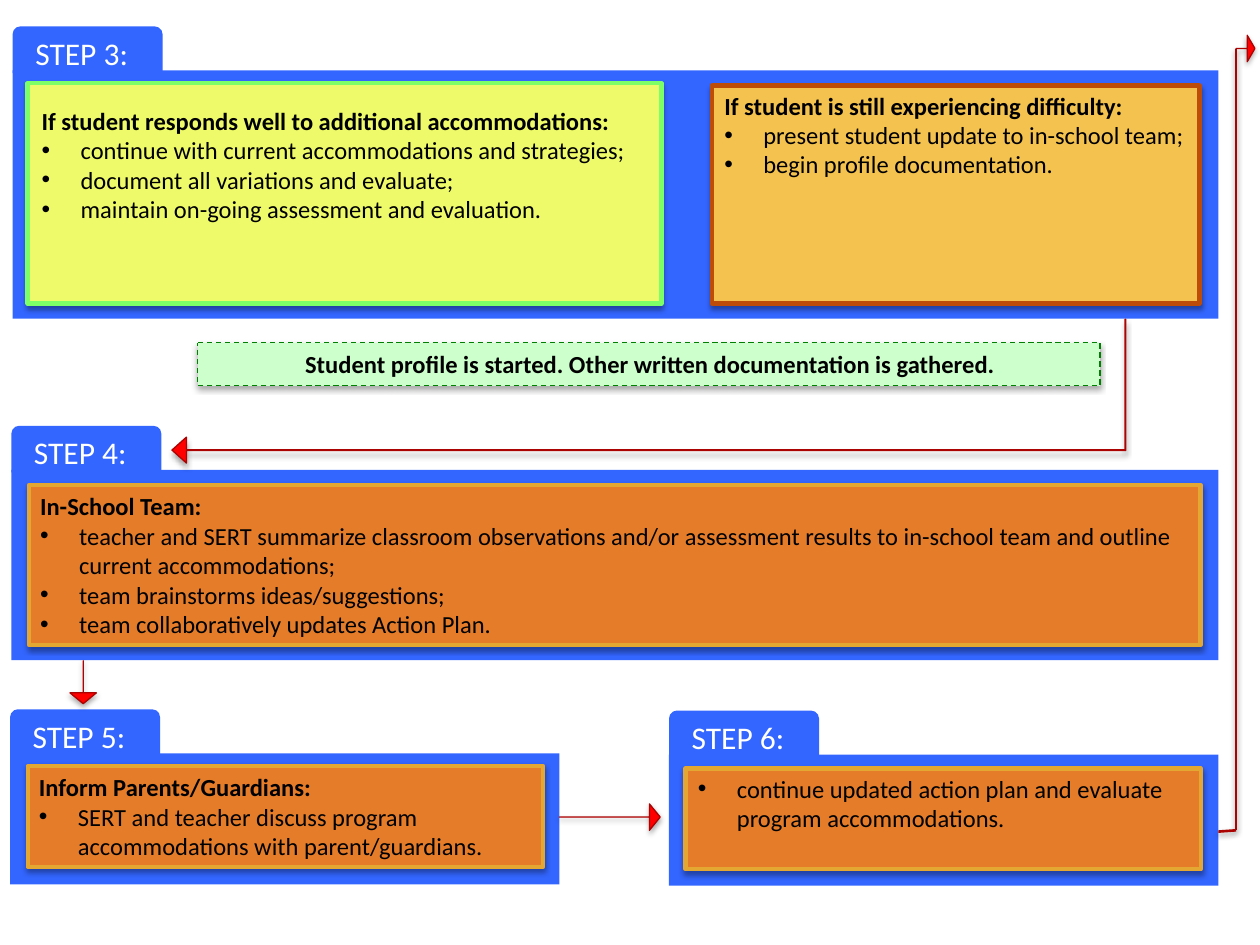
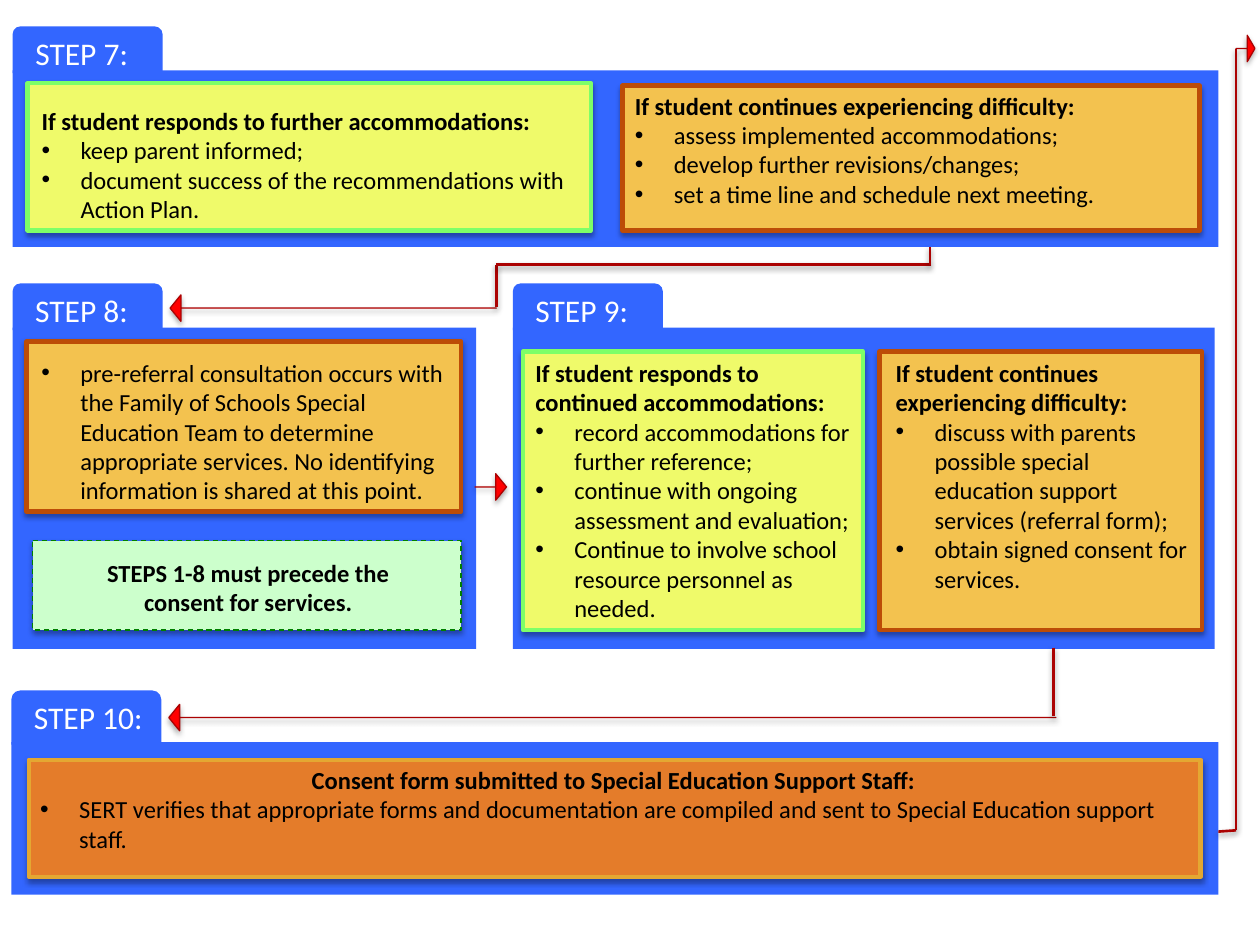
from typing import NamedTuple

from lxml import etree
from pptx import Presentation
from pptx.dml.color import RGBColor
from pptx.enum.dml import MSO_LINE
from pptx.enum.shapes import MSO_CONNECTOR, MSO_SHAPE
from pptx.enum.text import MSO_ANCHOR, MSO_AUTO_SIZE, PP_ALIGN
from pptx.oxml.ns import qn
from pptx.util import Emu, Pt

RECTANGLE = MSO_SHAPE.RECTANGLE
PROCESS = MSO_SHAPE.FLOWCHART_PROCESS
TAB = MSO_SHAPE.ROUND_2_SAME_RECTANGLE
RIGHT_ARROW = MSO_SHAPE.RIGHT_ARROW
BENT_ARROW = MSO_SHAPE.BENT_UP_ARROW
STRAIGHT = MSO_CONNECTOR.STRAIGHT
DASH = MSO_LINE.DASH
LEFT, CENTER = PP_ALIGN.LEFT, PP_ALIGN.CENTER
TOP = MSO_ANCHOR.TOP
GROW = MSO_AUTO_SIZE.SHAPE_TO_FIT_TEXT

PX = 9144
FONT = "Calibri"
TAB_WIDTH, TAB_OVERLAP = 119, 2
BULLET_INDENT = 31
COLORS = {
    "band": "3366FF", "label": "FFFFFF", "text": "000000", "shadow": "000000",
    "success": "EFFA6A", "success_edge": "7DFF68",
    "difficulty": "F3C24F", "difficulty_edge": "BC4C07",
    "action": "E47C2A", "action_edge": "E4A732",
    "note": "CCFFCC", "note_edge": "008000",
    "arrow": "FF0000", "arrow_edge": "AB0202",
}


class Area(NamedTuple):
    left: int
    top: int
    width: int
    height: int


class Step(NamedTuple):
    label: str
    band: Area
    tab_height: int = 37


class Panel(NamedTuple):
    kind: str
    area: Area
    text_area: Area
    headings: tuple[str, ...] = ()
    bullets: tuple[str, ...] = ()
    heading_align: PP_ALIGN = LEFT


class Arrow(NamedTuple):
    area: Area
    rotation: int = 0
    preset: MSO_SHAPE = RIGHT_ARROW
    adjustments: tuple[float, ...] = (0, 0.408)
    flipped: bool = False


class Line(NamedTuple):
    start_x: int
    start_y: int
    end_x: int
    end_y: int


class Flow(NamedTuple):
    steps: list[Step]
    panels: list[Panel]
    arrows: list[Arrow]
    lines: list[Line]


EXIT_ARROW = Arrow(Area(981, 28, 15, 21))
EXIT_LINES = [Line(981, 39, 981, 659), Line(967, 660, 981, 659)]

FLOWS = [
    Flow(
        steps=[
            Step("STEP 3:", Area(10, 56, 957, 197)),
            Step("STEP 4:", Area(9, 373, 958, 151)),
            Step("STEP 5:", Area(8, 598, 436, 104)),
            Step("STEP 6:", Area(531, 599, 436, 104)),
        ],
        panels=[
            Panel("success", Area(22, 66, 503, 175), Area(23, 79, 502, 104),
                  ("If student responds well to additional accommodations:",),
                  ("continue with current accommodations and strategies;",
                   "document all variations and evaluate;",
                   "maintain on-going assessment and evaluation.")),
            Panel("difficulty", Area(565, 68, 387, 173), Area(565, 67, 402, 81),
                  ("If student is still experiencing difficulty:",),
                  ("present student update to in-school team;",
                   "begin profile documentation.")),
            Panel("note", Area(157, 272, 716, 34), Area(164, 272, 704, 34),
                  ("Student profile is started. Other written documentation is gathered.",),
                  heading_align=CENTER),
            Panel("action", Area(23, 385, 930, 127), Area(22, 385, 930, 128),
                  ("In-School Team:",),
                  ("teacher and SERT summarize classroom observations and/or assessment "
                   "results to in-school team and outline current accommodations;",
                   "team brainstorms ideas/suggestions;",
                   "team collaboratively updates Action Plan.")),
            Panel("action", Area(22, 608, 409, 80), Area(21, 608, 391, 81),
                  ("Inform Parents/Guardians:",),
                  ("SERT and teacher discuss program accommodations with parent/guardians.",)),
            Panel("action", Area(544, 610, 409, 80), Area(544, 609, 391, 57),
                  bullets=("continue updated action plan and evaluate program accommodations.",)),
        ],
        arrows=[
            Arrow(Area(458, -68, 114, 757), 270, BENT_ARROW, (0.005, 0.09, 0.101), True),
            Arrow(Area(444, 638, 80, 21)),
            Arrow(Area(49, 531, 34, 21), 90),
        ],
        lines=[],
    ),
    Flow(
        steps=[
            Step("STEP 7:", Area(10, 56, 957, 140)),
            Step("STEP 8:", Area(10, 260, 368, 255)),
            Step("STEP 9:", Area(407, 260, 557, 255)),
            Step("STEP 10:", Area(9, 589, 958, 121), 43),
        ],
        panels=[
            Panel("success", Area(22, 66, 447, 117), Area(23, 79, 447, 104),
                  ("If student responds to further accommodations:",),
                  ("keep parent informed;",
                   "document success of the recommendations with Action Plan.")),
            Panel("difficulty", Area(494, 68, 458, 115), Area(494, 67, 420, 104),
                  ("If student continues experiencing difficulty:",),
                  ("assess implemented accommodations;",
                   "develop further revisions/changes;",
                   "set a time line and schedule next meeting.")),
            Panel("difficulty", Area(21, 271, 345, 135), Area(23, 279, 343, 128),
                  bullets=("pre-referral consultation occurs with the Family of Schools Special "
                           "Education Team to determine appropriate services. No identifying "
                           "information is shared at this point.",)),
            Panel("note", Area(26, 429, 340, 71), Area(28, 438, 338, 57),
                  ("STEPS 1-8 must precede the", "consent for services."),
                  heading_align=CENTER),
            Panel("difficulty", Area(698, 279, 256, 221), Area(701, 279, 253, 199),
                  ("If student continues experiencing difficulty:",),
                  ("discuss with parents possible special education support services (referral form);",
                   "obtain signed consent for services.")),
            Panel("success", Area(415, 279, 270, 221), Area(415, 279, 271, 222),
                  ("If student responds to continued accommodations:",),
                  ("record accommodations for further reference;",
                   "continue with ongoing assessment and evaluation;",
                   "Continue to involve school resource personnel as needed.")),
            Panel("action", Area(23, 603, 930, 93), Area(22, 602, 930, 81),
                  ("Consent form submitted to Special Education Support Staff:",),
                  ("SERT verifies that appropriate forms and documentation are compiled "
                   "and sent to Special Education support staff.",), CENTER),
        ],
        arrows=[
            Arrow(Area(377, 376, 25, 21)),
            Arrow(Area(135, 234, 259, 21), 180),
            Arrow(Area(134, 559, 704, 21), 180),
        ],
        lines=[
            Line(394, 210, 394, 244),
            Line(739, 210, 394, 210),
            Line(738, 196, 738, 210),
            Line(836, 514, 836, 568),
        ],
    ),
]


def color(name: str) -> RGBColor:
    return RGBColor.from_string(COLORS[name])


def scaled(lengths: tuple) -> list[Emu]:
    return [Emu(length * PX) for length in lengths]


def add_shadow(shape, opacity: int, distance: float) -> None:
    properties = shape.element.spPr
    effects = properties.find(qn("a:effectLst"))
    if effects is None:
        effects = etree.SubElement(properties, qn("a:effectLst"))
    shadow = etree.SubElement(effects, qn("a:outerShdw"), blurRad=str(Pt(3.1)),
                              dist=str(Pt(distance)), dir="5400000", rotWithShape="0")
    tint = etree.SubElement(shadow, qn("a:srgbClr"), val=COLORS["shadow"])
    etree.SubElement(tint, qn("a:alpha"), val=str(opacity * 1000))


def add_block(page, preset: MSO_SHAPE, area: Area, fill: str, edge_width: float = 0):
    block = page.shapes.add_shape(preset, *scaled(area))
    block.shadow.inherit = False
    block.fill.solid()
    block.fill.fore_color.rgb = color(fill)
    if edge_width:
        block.line.color.rgb = color(fill + "_edge")
        block.line.width = Pt(edge_width)
        add_shadow(block, 35, 1.8)
    else:
        block.line.fill.background()
    return block


def place_text(page, area: Area, placeholder=None):
    if placeholder is None:
        box = page.shapes.add_textbox(*scaled(area))
    else:
        box = placeholder
        box.left, box.top, box.width, box.height = scaled(area)
        box.element.getparent().append(box.element)
    frame = box.text_frame
    frame.word_wrap = True
    frame.auto_size = GROW
    frame.vertical_anchor = TOP
    return frame


def write_para(para, text: str, size: int, text_color: str, bold: bool = False,
               align: PP_ALIGN = LEFT, bulleted: bool = False) -> None:
    para.text = text
    para.alignment = align
    para.space_before = Pt(0)
    properties = para._p.get_or_add_pPr()
    indent = BULLET_INDENT * PX if bulleted else 0
    properties.set("marL", str(indent))
    properties.set("indent", str(-indent))
    if bulleted:
        etree.SubElement(properties, qn("a:buFont"), typeface="Arial")
        etree.SubElement(properties, qn("a:buChar"), char="•")
    else:
        etree.SubElement(properties, qn("a:buNone"))
    font = para.font
    font.name, font.size, font.bold = FONT, Pt(size), bold
    font.color.rgb = color(text_color)


def draw_step(page, step: Step, placeholder=None) -> None:
    left, top = step.band.left, step.band.top - step.tab_height + TAB_OVERLAP
    add_block(page, RECTANGLE, step.band, "band")
    add_block(page, TAB, Area(left, top, TAB_WIDTH, step.tab_height), "band")
    frame = place_text(page, Area(left + 8, top + 1, TAB_WIDTH - 8, 40), placeholder)
    write_para(frame.paragraphs[0], step.label, 18, "label")


def draw_panel(page, panel: Panel, placeholder=None) -> None:
    if panel.kind == "note":
        add_block(page, PROCESS, panel.area, panel.kind, 0.75).line.dash_style = DASH
    else:
        add_block(page, RECTANGLE, panel.area, panel.kind, 2.5)
    frame = place_text(page, panel.text_area, placeholder)
    heading_count = len(panel.headings)
    for index, text in enumerate(panel.headings + panel.bullets):
        para = frame.add_paragraph() if index else frame.paragraphs[0]
        heading = index < heading_count
        write_para(para, text, 14, "text", heading,
                   panel.heading_align if heading else LEFT, not heading)


def draw_arrow(page, arrow: Arrow) -> None:
    shape = add_block(page, arrow.preset, arrow.area, "arrow", 0.75)
    for index, value in enumerate(arrow.adjustments):
        shape.adjustments[index] = value
    shape.rotation = arrow.rotation
    if arrow.flipped:
        shape.element.spPr.xfrm.set("flipH", "1")


def draw_line(page, line: Line) -> None:
    connector = page.shapes.add_connector(STRAIGHT, *scaled(line))
    connector.line.color.rgb = color("arrow_edge")
    connector.line.width = Pt(1.5)
    add_shadow(connector, 38, 1.6)


def draw_flow(page, flow: Flow) -> None:
    title, body = page.shapes.title, page.placeholders[1]
    for index, step in enumerate(flow.steps):
        draw_step(page, step, None if index else title)
    for index, panel in enumerate(flow.panels):
        draw_panel(page, panel, None if index else body)
    for arrow in [*flow.arrows, EXIT_ARROW]:
        draw_arrow(page, arrow)
    for line in flow.lines + EXIT_LINES:
        draw_line(page, line)


def main() -> None:
    deck = Presentation()
    deck.slide_width, deck.slide_height = scaled((1000, 750))
    for flow in FLOWS:
        draw_flow(deck.slides.add_slide(deck.slide_layouts[1]), flow)
    deck.save("out.pptx")


if __name__ == "__main__":
    main()
